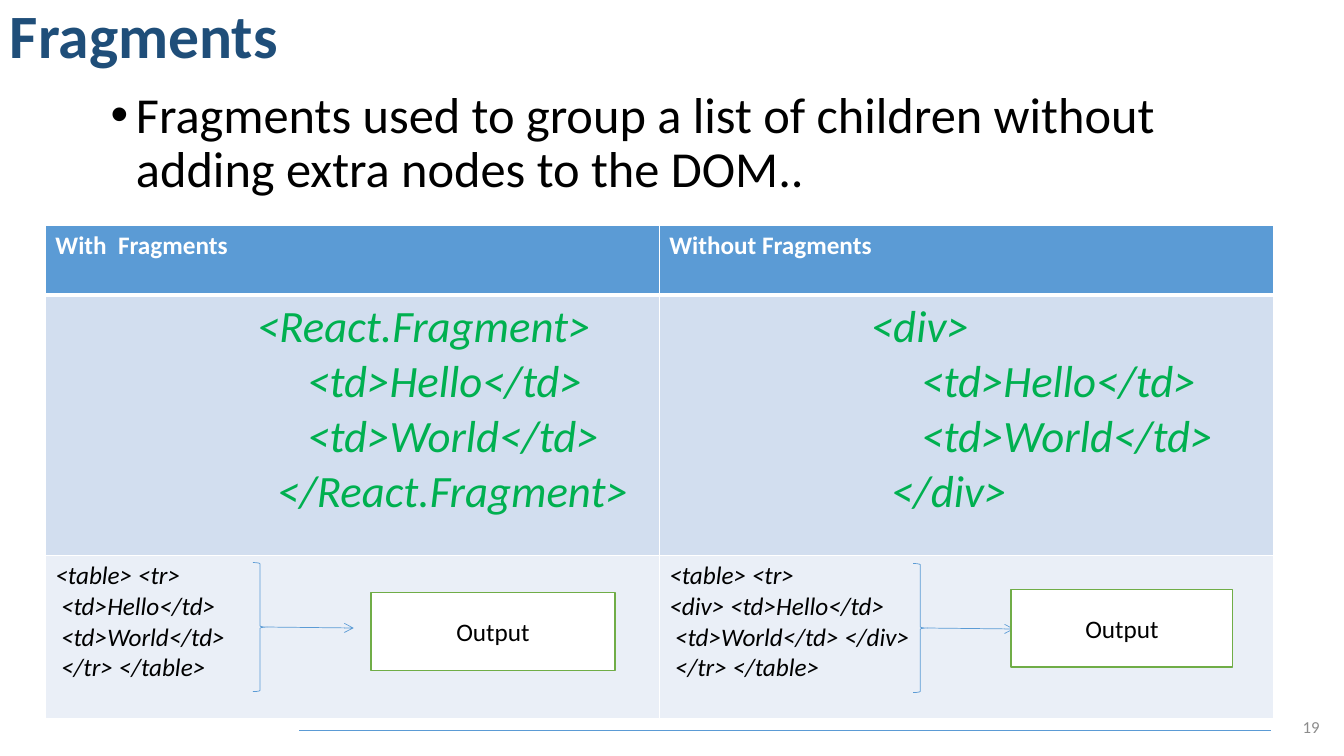
from lxml.etree import SubElement
from pptx import Presentation
from pptx.dml.color import RGBColor
from pptx.enum.shapes import MSO_CONNECTOR, MSO_SHAPE
from pptx.enum.text import MSO_ANCHOR as Anchor, PP_ALIGN as Align
from pptx.oxml.ns import qn
from pptx.util import Pt

NAVY = RGBColor(0x1F, 0x4E, 0x79)
BLUE = RGBColor(0x5B, 0x9B, 0xD5)
PALE_BLUE = RGBColor(0xD2, 0xDE, 0xEF)
PALEST_BLUE = RGBColor(0xEA, 0xEF, 0xF7)
GREEN = RGBColor(0x00, 0xB0, 0x50)
BOX_GREEN = RGBColor(0x70, 0xAD, 0x47)
GRAY = RGBColor(0x8C, 0x8C, 0x8C)
BLACK = RGBColor(0, 0, 0)
WHITE = RGBColor(255, 255, 255)

HEADINGS = ["With  Fragments", "Without Fragments"]
CODE = [
    ["<React.Fragment>", "<td>Hello</td>", "<td>World</td>", "</React.Fragment>"],
    ["<div>", "<td>Hello</td>", "<td>World</td>", "</div>"],
]
CODE_INDENTS = [144, 180, 180, 158.4]
RESULTS = [
    ["<table> <tr>", " <td>Hello</td>", " <td>World</td>", " </tr> </table>"],
    ["<table> <tr>", "<div> <td>Hello</td>", " <td>World</td> </div>", " </tr> </table>"],
]


def write(text_frame, lines, size, color, bold=False, italic=False):
    """Fill a text frame with one formatted paragraph per line."""
    text_frame.word_wrap = True
    text_frame.text = "\n".join(lines)
    for paragraph in text_frame.paragraphs:
        for run in paragraph.runs:
            font = run.font
            font.name, font.size, font.color.rgb = "Calibri", Pt(size), color
            font.bold, font.italic = bold, italic


def indent(paragraph, left, first=0):
    """Set the left margin and first-line indent of a paragraph."""
    properties = paragraph._p.get_or_add_pPr()
    properties.set("marL", str(Pt(left)))
    properties.set("indent", str(Pt(first)))
    return properties


def add_text(slide, box, text, size, color, bold=False):
    """Add a text box holding one paragraph and return its text frame."""
    text_frame = slide.shapes.add_textbox(*map(Pt, box)).text_frame
    write(text_frame, [text], size, color, bold)
    return text_frame


def add_line(slide, start, end, arrow=False):
    """Draw a thin blue line, with an open arrowhead if asked."""
    line = slide.shapes.add_connector(
        MSO_CONNECTOR.STRAIGHT, *map(Pt, (*start, *end)))
    line.line.color.rgb, line.line.width = BLUE, Pt(0.5)
    if arrow:
        SubElement(line.line._get_or_add_ln(), qn("a:tailEnd"), type="arrow")
    SubElement(line._element.spPr, qn("a:effectLst"))


def add_heading(slide, box):
    """Add the slide title and the bullet below it."""
    left, top, width, height = box
    title = add_text(slide, (left, top, width, 60), "Fragments", 44, NAVY, True)
    title.paragraphs[0].line_spacing = 0.9
    body = add_text(
        slide, (left, top + 60.5, width, height - 60.5),
        "Fragments used to group a list of children without "
        "adding extra nodes to the DOM..", 36, BLACK)
    paragraph = body.paragraphs[0]
    paragraph.line_spacing, paragraph.space_before = 0.9, Pt(5)
    properties = indent(paragraph, 90, -18)
    SubElement(properties, qn("a:buFont"), typeface="Arial")
    SubElement(properties, qn("a:buChar"), char="•")


def style_cell(cell, fill, bottom):
    """Give a cell its white borders and its fill."""
    properties = cell._tc.get_or_add_tcPr()
    for side, width in (("L", 1), ("R", 1), ("T", 1), ("B", bottom)):
        border = SubElement(properties, qn(f"a:ln{side}"), w=str(Pt(width)))
        solid = SubElement(border, qn("a:solidFill"))
        SubElement(solid, qn("a:srgbClr"), val=str(WHITE))
    cell.fill.solid()
    cell.fill.fore_color.rgb = fill


def add_comparison(slide, box):
    """Add the table that compares code with and without fragments."""
    table = slide.shapes.add_table(3, 2, *map(Pt, box)).table
    for row, height in zip(table.rows, (49.5, 186, box[3] - 235.5)):
        row.height = Pt(height)
    for column in range(2):
        heading, code, result = (table.cell(row, column) for row in range(3))
        write(heading.text_frame, [HEADINGS[column]], 18, WHITE, bold=True)
        write(code.text_frame, CODE[column], 32, GREEN, italic=True)
        write(result.text_frame, RESULTS[column], 18, BLACK, italic=True)
        for paragraph, left in zip(code.text_frame.paragraphs, CODE_INDENTS):
            indent(paragraph, left)
        style_cell(heading, BLUE, 3)
        style_cell(code, PALE_BLUE, 1)
        style_cell(result, PALEST_BLUE, 1)


def add_shape(slide, kind, box, color, width):
    """Add an outlined shape without fill or shadow."""
    shape = slide.shapes.add_shape(kind, *map(Pt, box))
    shape.shadow.inherit = False
    shape.fill.background()
    shape.line.color.rgb, shape.line.width = color, Pt(width)
    return shape


def add_output(slide, brace_origin, output_box):
    """Add a brace, an arrow and the output box they lead to."""
    left, top = brace_origin
    add_shape(slide, MSO_SHAPE.RIGHT_BRACE, (left, top, 10, 92.2), BLUE, 0.5)
    middle = top + 46.1
    add_line(slide, (left + 10, middle), (left + 72, middle + 0.7), arrow=True)
    output = add_shape(slide, MSO_SHAPE.RECTANGLE, output_box, BOX_GREEN, 1)
    output.fill.solid()
    output.fill.fore_color.rgb = WHITE
    write(output.text_frame, ["Output"], 18, BLACK)
    output.text_frame.vertical_anchor = Anchor.MIDDLE
    output.text_frame.paragraphs[0].alignment = Align.CENTER


def add_footer(slide, box):
    """Add the footer rule and the slide number."""
    left, top, width, height = box
    middle = top + 17.3
    add_line(slide, (left, middle), (left + 694, middle))
    number = add_text(
        slide, (left + width - 49.7, top, 49.7, height), "19", 12, GRAY)
    number.vertical_anchor = Anchor.MIDDLE
    number.paragraphs[0].alignment = Align.RIGHT


def main():
    """Build the slide and save it."""
    presentation = Presentation()
    presentation.slide_width, presentation.slide_height = Pt(960), Pt(540)
    slide = presentation.slides.add_slide(presentation.slide_layouts[6])
    add_footer(slide, (213.8, 504.7, 735.9, 28.8))
    add_heading(slide, (0, 0, 935.3, 150))
    add_comparison(slide, (32.4, 161.3, 877, 352))
    add_output(slide, (180.7, 401.8), (265, 423.4, 174.2, 55.4))
    add_output(slide, (652.3, 402.5), (722.2, 421.2, 158.4, 55.4))
    presentation.save("out.pptx")


if __name__ == "__main__":
    main()
